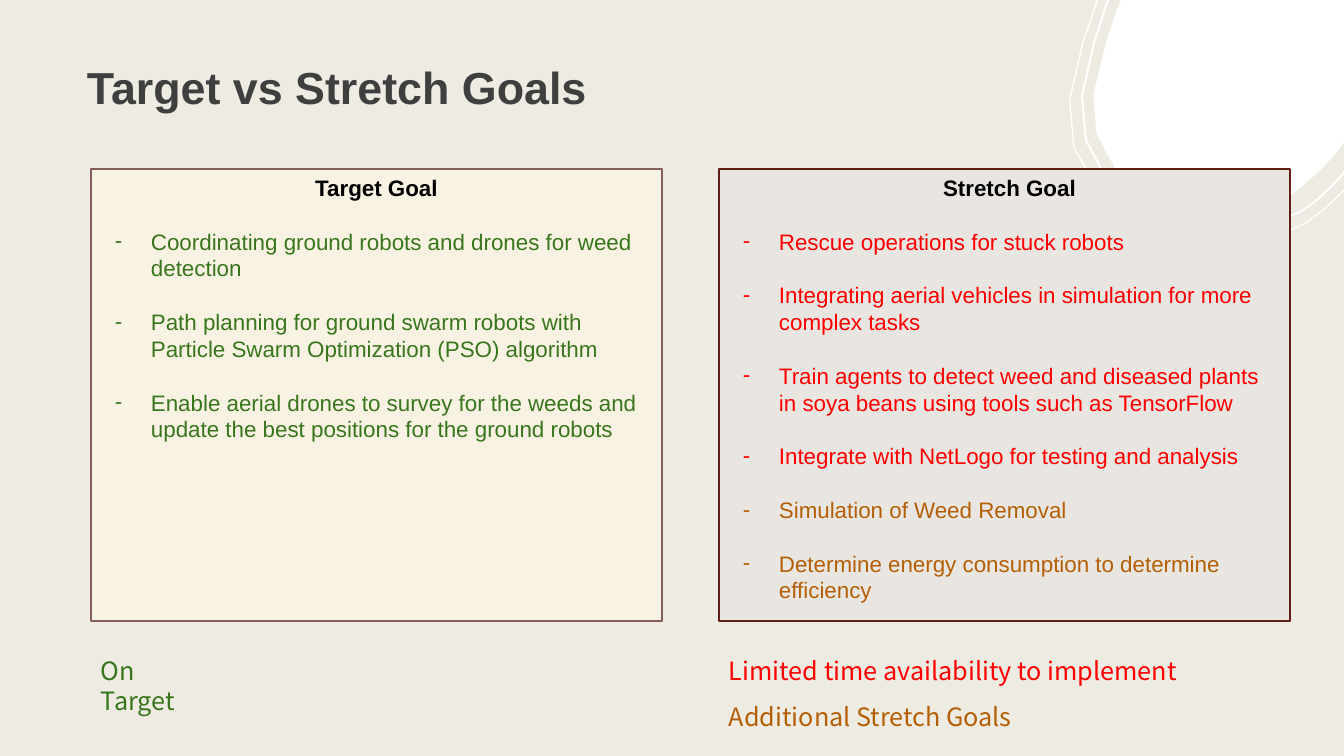
from lxml.etree import SubElement
from pptx import Presentation
from pptx.dml.color import RGBColor
from pptx.enum.shapes import MSO_SHAPE
from pptx.enum.text import MSO_ANCHOR, PP_ALIGN
from pptx.oxml.ns import qn
from pptx.util import Pt

PX = 914400 / 100.8
CURVE_STEPS = 3
COLORS = {
    "page": "EEEBE2", "white": "FFFFFF", "title": "3F3F3F", "black": "000000",
    "green": "38761D", "red": "FF0000", "orange": "B45F06",
    "cream": "F8F2E2", "mauve": "855D5D", "stone": "E9E6E2", "maroon": "601E17",
}
BLOB = [
    (1121, 0), (1361, 0), (1362, 1),
    (1368, 12, 1373, 24, 1375, 36), (1378, 51, 1377, 68, 1373, 85),
    (1365, 106, 1356, 128, 1340, 148), (1331, 160, 1319, 172, 1306, 183),
    (1294, 196, 1279, 202, 1263, 204), (1245, 206, 1225, 203, 1205, 200),
    (1201, 200, 1196, 199, 1192, 199), (1156, 194, 1131, 190, 1115, 168),
    (1089, 136, 1086, 100, 1105, 47), (1107, 40, 1109, 34, 1111, 27),
    (1114, 18, 1117, 10, 1120, 3),
]
INNER_RING = [
    (1113, -13), (1370, -13), (1375, -3),
    (1383, 9, 1388, 22, 1390, 36), (1394, 53, 1393, 72, 1389, 90),
    (1381, 119, 1366, 148, 1343, 174), (1335, 183, 1326, 192, 1317, 200),
    (1302, 213, 1288, 219, 1269, 221), (1250, 223, 1228, 220, 1206, 216),
    (1202, 216, 1196, 215, 1192, 214), (1152, 209, 1125, 203, 1106, 178),
    (1078, 142, 1074, 102, 1094, 43), (1096, 36, 1099, 28, 1101, 22),
    (1105, 7, 1109, -3, 1113, -12),
]
OUTER_RING = [
    (1102, -13), (1383, -13), (1386, -9),
    (1394, 4, 1399, 18, 1402, 33), (1406, 51, 1405, 72, 1400, 92),
    (1393, 123, 1375, 154, 1351, 182), (1342, 193, 1332, 202, 1322, 211),
    (1307, 225, 1291, 232, 1271, 234), (1251, 236, 1228, 233, 1203, 229),
    (1198, 228, 1193, 227, 1188, 227), (1146, 221, 1116, 215, 1096, 188),
    (1065, 150, 1061, 106, 1083, 42), (1086, 34, 1089, 26, 1091, 19),
    (1095, 7, 1098, -2, 1101, -10),
]
TARGET_GOALS = [
    ("Coordinating ground robots and drones for weed detection", "green"),
    ("Path planning for ground swarm robots with Particle Swarm Optimization (PSO) algorithm", "green"),
    ("Enable aerial drones to survey for the weeds and update the best positions for the ground robots", "green"),
]
STRETCH_GOALS = [
    ("Rescue operations for stuck robots", "red"),
    ("Integrating aerial vehicles in simulation for more complex tasks", "red"),
    ("Train agents to detect weed and diseased plants in soya beans using tools such as TensorFlow", "red"),
    ("Integrate with NetLogo for testing and analysis", "red"),
    ("Simulation of Weed Removal", "orange"),
    ("Determine energy consumption to determine efficiency", "orange"),
]


def emu(length):
    """Turn a length in px into EMU."""
    return round(length * PX)


def color(name):
    """Look up a named colour."""
    return RGBColor.from_string(COLORS[name])


def flatten(outline):
    """Turn points and Bezier segments in px into a list of points in EMU."""
    points = []
    for segment in outline:
        if len(segment) == 2:
            points.append(segment)
            continue
        corners = [points[-1], segment[:2], segment[2:4], segment[4:]]
        for step in range(1, CURVE_STEPS + 1):
            t = step / CURVE_STEPS
            weights = ((1 - t) ** 3, 3 * t * (1 - t) ** 2, 3 * t ** 2 * (1 - t), t ** 3)
            points.append(tuple(
                sum(weight * corner[axis] for weight, corner in zip(weights, corners))
                for axis in (0, 1)))
    return [(emu(x), emu(y)) for x, y in points]


def paint(shape, fill=None, line=None, width=1):
    """Set the fill and line of a shape and drop its shadow."""
    shape.shadow.inherit = False
    if fill:
        shape.fill.solid()
        shape.fill.fore_color.rgb = color(fill)
    else:
        shape.fill.background()
    if line:
        shape.line.color.rgb = color(line)
        shape.line.width = Pt(width)
    else:
        shape.line.fill.background()


def prepare_frame(shape, anchor=MSO_ANCHOR.TOP, margins=(10, 10, 10, 10)):
    """Set wrapping, anchor and margins of a shape's text, and return its frame."""
    frame = shape.text_frame
    frame.word_wrap = True
    frame.vertical_anchor = anchor
    frame.margin_left, frame.margin_top, frame.margin_right, frame.margin_bottom = map(emu, margins)
    return frame


def write(para, text, size=16, font="Arial", ink="black", bold=False,
          align=PP_ALIGN.LEFT, spacing=1.0, before=0, indent=0, bullet=None):
    """Write formatted text into a paragraph."""
    properties = para._p.get_or_add_pPr()
    properties.set("marL", str(emu(indent)))
    properties.set("indent", str(emu(-36 if bullet else 0)))
    if bullet:
        bullet_color = SubElement(properties, qn("a:buClr"))
        SubElement(bullet_color, qn("a:srgbClr"), val=COLORS[ink])
        SubElement(properties, qn("a:buFont"), typeface=font)
        SubElement(properties, qn("a:buChar"), char=bullet)
    para.alignment = align
    para.line_spacing = spacing
    para.space_before = Pt(before)
    span = para.add_run()
    span.text = text
    span.font.size = Pt(size)
    span.font.name = font
    span.font.bold = bold
    span.font.color.rgb = color(ink)
    for tag in ("a:ea", "a:cs"):
        SubElement(span.font._element, qn(tag), typeface=font)


def add_decoration(page):
    """Draw the white corner blob and its two rings."""
    for outline, style in ((BLOB, {"fill": "white"}),
                           (INNER_RING, {"line": "white", "width": 1.5}),
                           (OUTER_RING, {"line": "white", "width": 1})):
        start, *rest = flatten(outline)
        builder = page.shapes.build_freeform(*start, scale=1.0)
        builder.add_line_segments(rest, close=True)
        paint(builder.convert_to_shape(), **style)


def add_title(page, box, text):
    """Place the slide title."""
    shape = page.shapes.add_textbox(*map(emu, box))
    frame = prepare_frame(shape, MSO_ANCHOR.MIDDLE, (12, 12, 12, 20))
    write(frame.paragraphs[0], text, size=32, ink="title", bold=True, spacing=0.9)


def add_goal_panel(page, box, heading, goals, fill, line, heading_indent=0):
    """Place a panel with a centred heading and dashed goals."""
    panel = page.shapes.add_shape(MSO_SHAPE.RECTANGLE, *map(emu, box))
    paint(panel, fill, line)
    frame = prepare_frame(panel, margins=(10, 5, 10, 5))
    write(frame.paragraphs[0], heading, bold=True, align=PP_ALIGN.CENTER, indent=heading_indent)
    for text, ink in goals:
        write(frame.add_paragraph(), text, ink=ink, before=19.15, indent=50, bullet="-")


def add_legend(page, box, text, ink):
    """Place one line of the colour legend."""
    shape = page.shapes.add_textbox(*map(emu, box))
    write(prepare_frame(shape).paragraphs[0], text, size=18, font="Noto Sans CJK JP", ink=ink)


def main():
    """Build the slide and save it."""
    deck = Presentation()
    deck.slide_width, deck.slide_height = emu(1344), emu(756)
    page = deck.slides.add_slide(deck.slide_layouts[6])
    page.background.fill.solid()
    page.background.fill.fore_color.rgb = color("page")
    left, right, top, width = 91, 719, 169, 571
    add_decoration(page)
    add_title(page, (75, 48, 804, 92), "Target vs Stretch Goals")
    add_goal_panel(page, (left, top, width, 452), "Target Goal", TARGET_GOALS, "cream", "mauve")
    add_goal_panel(page, (right, top, width, 452), "Stretch Goal", STRETCH_GOALS,
                   "stone", "maroon", heading_indent=10)
    add_legend(page, (left, 645, 126, 37), "On Target", "green")
    add_legend(page, (right, 691, 314, 37), "Additional Stretch Goals", "orange")
    add_legend(page, (right, 645, 534, 37), "Limited time availability to implement", "red")
    deck.save("out.pptx")


if __name__ == "__main__":
    main()
